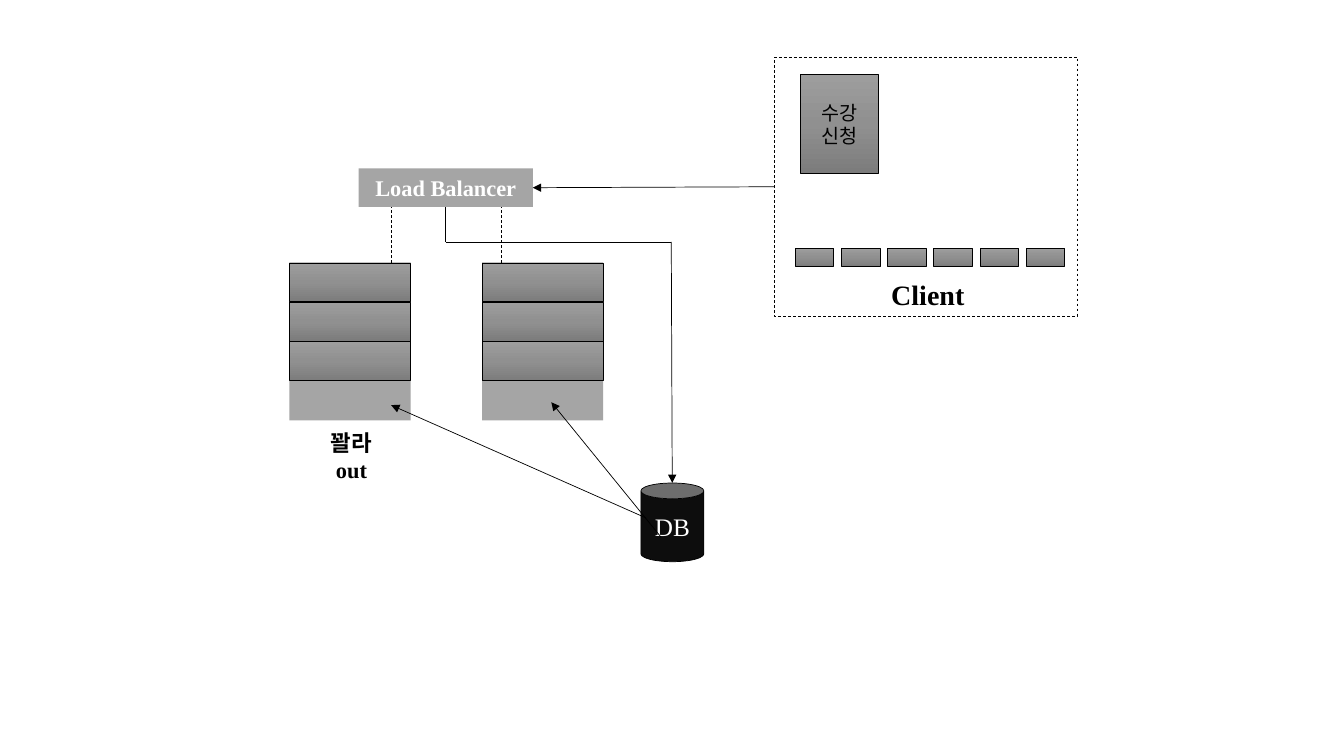
from copy import deepcopy
from dataclasses import dataclass

from lxml.etree import SubElement
from pptx import Presentation
from pptx.dml.color import RGBColor
from pptx.enum.dml import MSO_LINE
from pptx.enum.shapes import MSO_CONNECTOR, MSO_SHAPE
from pptx.enum.text import MSO_ANCHOR, PP_ALIGN
from pptx.oxml.ns import qn
from pptx.util import Pt


@dataclass(frozen=True)
class Theme:
    black: str = "000000"
    white: str = "FFFFFF"
    grey: str = "A5A5A5"
    can: str = "0D0D0D"
    gradient: tuple = ((0, "9D9D9D"), (0.5, "909090"), (1, "7C7C7C"))
    latin: str = "Times New Roman"
    korean: str = "Noto Sans CJK KR"
    heading: int = 20
    db: int = 18
    label: int = 16
    course: int = 14
    line: float = 0.5


THEME = Theme()
CELL_H = 27.6
CELL_STEP = 28.1
RACK_TOP, RACK_W, RACK_H = 187.4, 86.6, 113
RACK_LEFTS = (206.8, 344.3)


def write(shape, text, size, color=THEME.black, font=THEME.latin, bold=False):
    tf = shape.text_frame
    tf.word_wrap = True
    for i, line in enumerate(text.split("\n")):
        p = tf.paragraphs[0] if i == 0 else tf.add_paragraph()
        p.alignment = PP_ALIGN.CENTER
        r = p.add_run()
        r.text = line
        style = {"size": Pt(size), "name": font, "bold": bold}
        for name, value in style.items():
            setattr(r.font, name, value)
        r.font.color.rgb = RGBColor.from_string(color)
        SubElement(r._r.get_or_add_rPr(), qn("a:ea"), typeface=THEME.korean)


def add_label(s, text, box, size):
    write(s.shapes.add_textbox(*map(Pt, box)), text, size, bold=True)


def style_line(line, dashed=False):
    line.color.rgb = RGBColor.from_string(THEME.black)
    line.width = Pt(THEME.line)
    if dashed:
        line.dash_style = MSO_LINE.DASH


def add_box(s, box, fill=None, outlined=True, dashed=False, kind=MSO_SHAPE.RECTANGLE):
    sp = s.shapes.add_shape(kind, *map(Pt, box))
    sp.shadow.inherit = False
    sp.text_frame.vertical_anchor = MSO_ANCHOR.MIDDLE
    if fill:
        sp.fill.solid()
        sp.fill.fore_color.rgb = RGBColor.from_string(fill)
    else:
        sp.fill.background()
    if outlined:
        style_line(sp.line, dashed)
    else:
        sp.line.fill.background()
    return sp


def add_gradient_box(s, box):
    sp = add_box(s, box)
    sp.fill.gradient()
    sp.fill.gradient_angle = 270
    stops = sp._element.spPr.find(".//" + qn("a:gsLst"))
    stops.append(deepcopy(stops[0]))
    for stop, (position, color) in zip(sp.fill.gradient_stops, THEME.gradient):
        stop.position = position
        stop.color.rgb = RGBColor.from_string(color)
    return sp


def add_line(s, start, end, dashed=False, arrow=False):
    line = s.shapes.add_connector(MSO_CONNECTOR.STRAIGHT, *map(Pt, start + end))
    style_line(line.line, dashed)
    if arrow:
        SubElement(line.line._get_or_add_ln(), qn("a:tailEnd"), type="triangle")
    SubElement(line._element.spPr, qn("a:effectLst"))
    return line


def add_rack(s, left):
    """Draw a server rack with three filled slots and an empty bottom."""
    add_box(s, (left, RACK_TOP, RACK_W, RACK_H), THEME.grey, outlined=False)
    for i in range(3):
        add_gradient_box(s, (left, 188 + i * CELL_STEP, RACK_W, CELL_H))


def add_client(s):
    add_label(s, "Client", (618.5, 194.4, 88.6, 31.7), THEME.heading)
    course = add_gradient_box(s, (571.6, 53.2, 55.6, 70.7))
    write(course, "수강\n신청", THEME.course, font=THEME.korean)
    for i in range(6):
        add_gradient_box(s, (568 + i * 33, 177.3, 27.6, 13))
    return add_box(s, (553, 41, 216.8, 184.8), dashed=True)


def main():
    prs = Presentation()
    prs.slide_width, prs.slide_height = Pt(960), Pt(540)
    s = prs.slides.add_slide(prs.slide_layouts[6])

    balancer = add_box(s, (256.2, 120.3, 124.4, 27.6), THEME.grey, outlined=False)
    write(balancer, "Load Balancer", THEME.label, THEME.white, bold=True)
    add_label(s, "꽐라\nout", (206.8, 303.2, 88.6, 46), THEME.label)
    db = add_box(s, (457.8, 345, 45, 56.2), THEME.can, kind=MSO_SHAPE.CAN)
    write(db, "DB", THEME.db, THEME.white)
    for left in RACK_LEFTS:
        add_rack(s, left)
    client = add_client(s)

    for x in (357.8, 279.4):
        add_line(s, (x, 188), (x, 148), dashed=True)
    request = add_line(s, (553, 133.4), (380.6, 134.1), arrow=True)
    request.begin_connect(client, 1)
    request.end_connect(balancer, 3)

    for start, end in (
        ((461.5, 370), (279.4, 289.4)),
        ((472.3, 383.8), (393.8, 287.3)),
        ((479.5, 172.8), (480.2, 345)),
    ):
        add_line(s, start, end, arrow=True)
    drop = add_line(s, (318.4, 172.8), (318.4, 147.9))
    drop.end_connect(balancer, 2)
    add_line(s, (318.4, 172.8), (479.5, 172.8))

    prs.save("out.pptx")


if __name__ == "__main__":
    main()
